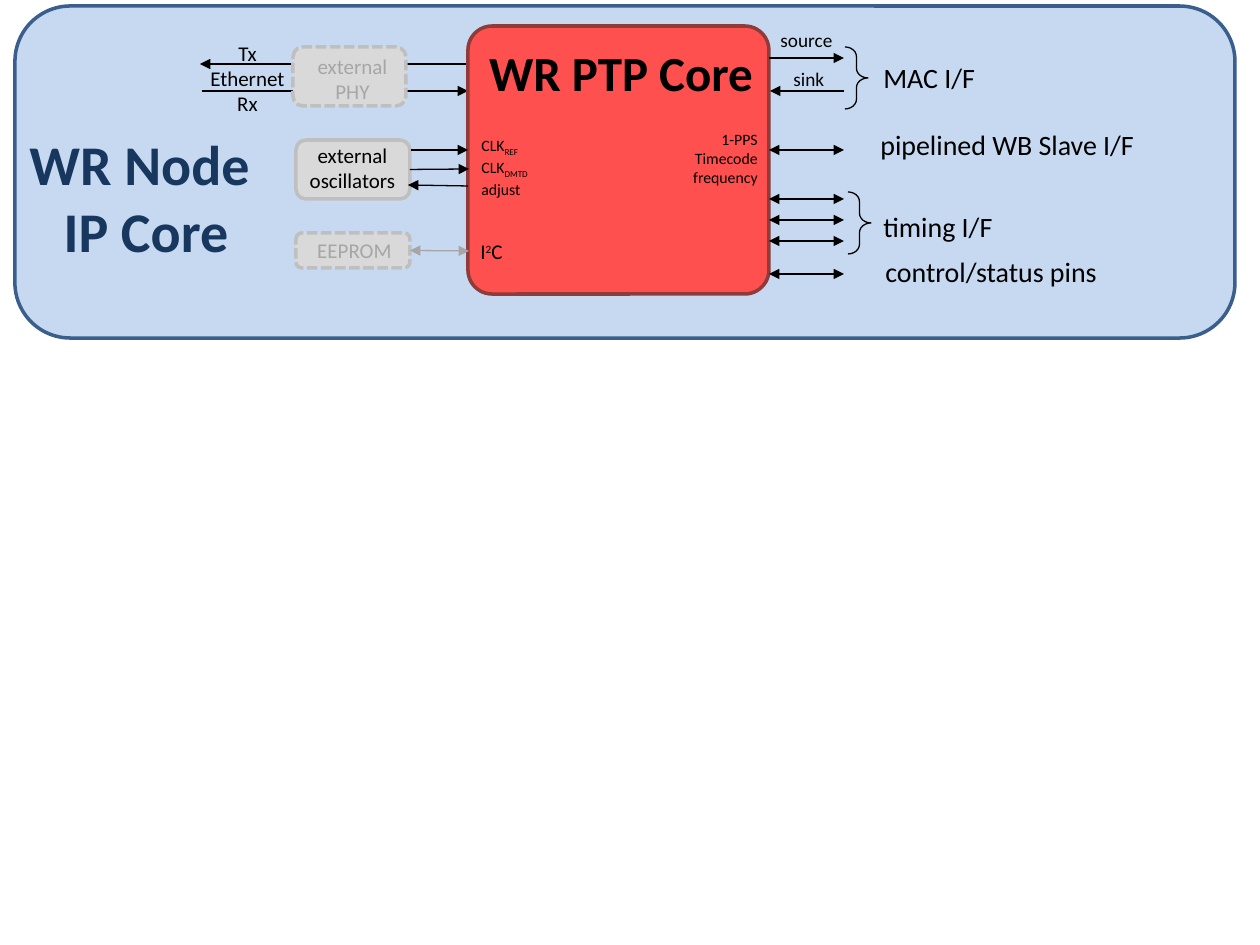
from dataclasses import dataclass

import pptx
import pptx.dml.color
import pptx.enum.dml
import pptx.enum.shapes
import pptx.enum.text
import pptx.oxml.ns
import pptx.util
from lxml import etree

PX = 914400 / 126  # EMU in one px
COLORS = {
    "panel": "C6D9F1", "panel_edge": "3A5F8C", "title": "17375E",
    "core": "FF5050", "core_edge": "8E3B39",
    "part": "D9D9D9", "part_edge": "BFBFBF",
    "muted": "A6A6A6", "black": "000000",
}
SHAPE = pptx.enum.shapes.MSO_SHAPE
ALIGN = pptx.enum.text.PP_ALIGN
LEFT, CENTER, RIGHT = ALIGN.LEFT, ALIGN.CENTER, ALIGN.RIGHT


@dataclass
class Box:
    rect: tuple[int, int, int, int]
    fill: str
    edge: str
    dashed: bool = False
    corner: float = 0.1667


@dataclass
class Run:
    text: str
    baseline: int = 0  # percent, positive for superscript
    size: int = 0  # points, 0 for the size of the label


@dataclass
class Label:
    rect: tuple[int, int, int, int]
    lines: list[list[Run]]
    size: int
    align: ALIGN = LEFT
    color: str = "black"
    bold: bool = False
    first_align: ALIGN | None = None  # None for the same as the other lines


@dataclass
class Arrow:
    start: tuple[int, int]
    end: tuple[int, int]
    both: bool = False
    color: str = "black"
    source: str = ""  # box whose right side the arrow is joined to


def emu(*px: int) -> list[int]:
    return [round(v * PX) for v in px]


def rgb(name: str) -> pptx.dml.color.RGBColor:
    return pptx.dml.color.RGBColor.from_string(COLORS[name])


def plain(*lines: str) -> list[list[Run]]:
    return [[Run(line)] for line in lines]


def set_line(line, color: str, width: float) -> None:
    line.color.rgb = rgb(color)
    line.width = pptx.util.Pt(width)


def draw_box(s, box: Box):
    sp = s.shapes.add_shape(SHAPE.ROUNDED_RECTANGLE, *emu(*box.rect))
    sp.shadow.inherit = False
    sp.adjustments[0] = box.corner
    sp.fill.solid()
    sp.fill.fore_color.rgb = rgb(box.fill)
    set_line(sp.line, box.edge, 2)
    if box.dashed:
        sp.line.dash_style = pptx.enum.dml.MSO_LINE.SQUARE_DOT
    return sp


def draw_brace(s, x: int, y: int) -> None:
    sp = s.shapes.add_shape(SHAPE.RIGHT_BRACE, *emu(x, y, 23, 62))
    sp.shadow.inherit = False
    sp.adjustments[0] = 0.42
    sp.fill.background()
    set_line(sp.line, "black", 0.75)


def draw_label(s, label: Label) -> None:
    tf = s.shapes.add_textbox(*emu(*label.rect)).text_frame
    tf.word_wrap = True
    for i, line in enumerate(label.lines):
        p = tf.add_paragraph() if i else tf.paragraphs[0]
        p.alignment = label.align
        for run in line:
            r = p.add_run()
            r.text = run.text
            style = {"name": "Calibri", "bold": label.bold,
                     "size": pptx.util.Pt(run.size or label.size)}
            for key, value in style.items():
                setattr(r.font, key, value)
            r.font.color.rgb = rgb(label.color)
            if run.baseline:
                r._r.get_or_add_rPr().set("baseline", str(run.baseline * 1000))
    if label.first_align is not None:
        tf.paragraphs[0].alignment = label.first_align


def draw_arrow(s, arrow: Arrow, boxes: dict) -> None:
    straight = pptx.enum.shapes.MSO_CONNECTOR.STRAIGHT
    c = s.shapes.add_connector(straight, *emu(*arrow.start, *arrow.end))
    if arrow.source:
        c.begin_connect(boxes[arrow.source], 3)
    set_line(c.line, arrow.color, 0.75)
    ln = c.line._get_or_add_ln()
    for tag in ("a:headEnd", "a:tailEnd") if arrow.both else ("a:tailEnd",):
        etree.SubElement(ln, pptx.oxml.ns.qn(tag), type="triangle")
    etree.SubElement(c._element.spPr, pptx.oxml.ns.qn("a:effectLst"))


PANEL = Box((15, 6, 1220, 332), "panel", "panel_edge")
ETHERNET = [Arrow((202, 91), (468, 91)), Arrow((468, 64), (200, 64))]
BOXES = {
    "eeprom": Box((296, 233, 114, 35), "part", "part_edge", dashed=True),
    "oscillators": Box((296, 140, 114, 59), "part", "part_edge"),
    "phy": Box((293, 47, 113, 59), "part", "part_edge", dashed=True),
    "core": Box((468, 26, 301, 268), "core", "core_edge", corner=0.09),
}
LABELS = [
    # Titles
    Label((17, 123, 258, 149), plain("WR Node", "IP Core"), 32, CENTER,
          "title", True, first_align=LEFT),
    Label((474, 36, 294, 72), plain("WR PTP Core"), 28, CENTER, bold=True),
    # External parts
    Label((296, 47, 113, 63), plain("external", "PHY"), 12, CENTER, "muted"),
    Label((191, 34, 113, 89), plain("Tx", "Ethernet", "Rx"), 12, CENTER),
    Label((298, 231, 113, 38), plain("EEPROM"), 12, CENTER, "muted"),
    Label((296, 136, 113, 63), plain("external", "oscillators"), 12, CENTER),
    # Core pins
    Label((468, 232, 49, 38), [[Run("I"), Run("2", 30, 11), Run("C")]], 12),
    Label((469, 130, 82, 71), [[Run("CLK"), Run("REF", -25)],
                               [Run("CLK"), Run("DMTD", -25)],
                               [Run("adjust")]], 9),
    Label((652, 124, 118, 71), plain("1-PPS", "Timecode", "frequency"), 9, RIGHT),
    # Interfaces
    Label((768, 22, 82, 37), plain("source"), 11),
    Label((781, 61, 68, 37), plain("sink"), 11),
    Label((871, 54, 120, 47), plain("MAC I/F"), 16),
    Label((868, 121, 281, 47), plain("pipelined WB Slave I/F"), 16),
    Label((871, 203, 158, 47), plain("timing I/F"), 16),
    Label((873, 248, 246, 47), plain("control/status pins"), 16),
]
ARROWS = [
    Arrow((411, 150), (468, 150)),
    Arrow((410, 170), (469, 169), source="oscillators"),
    Arrow((468, 186), (408, 185)),
    Arrow((410, 251), (469, 251), both=True, color="muted", source="eeprom"),
    Arrow((769, 58), (844, 58)),
    Arrow((844, 91), (770, 91)),
    *[Arrow((769, y), (844, y), both=True) for y in (150, 199, 220, 241, 274)],
]


def main() -> None:
    prs = pptx.Presentation()
    prs.slide_width, prs.slide_height = emu(1260, 945)
    s = prs.slides.add_slide(prs.slide_layouts[6])

    # Node panel, with the Ethernet lines running behind the PHY
    draw_box(s, PANEL)
    for arrow in ETHERNET:
        draw_arrow(s, arrow, {})

    # Parts and their wording
    boxes = {key: draw_box(s, box) for key, box in BOXES.items()}
    for label in LABELS:
        draw_label(s, label)

    # Signals and the braces that group them
    for arrow in ARROWS:
        draw_arrow(s, arrow, boxes)
    draw_brace(s, 848, 192)
    draw_brace(s, 845, 47)

    prs.save("out.pptx")


if __name__ == "__main__":
    main()
